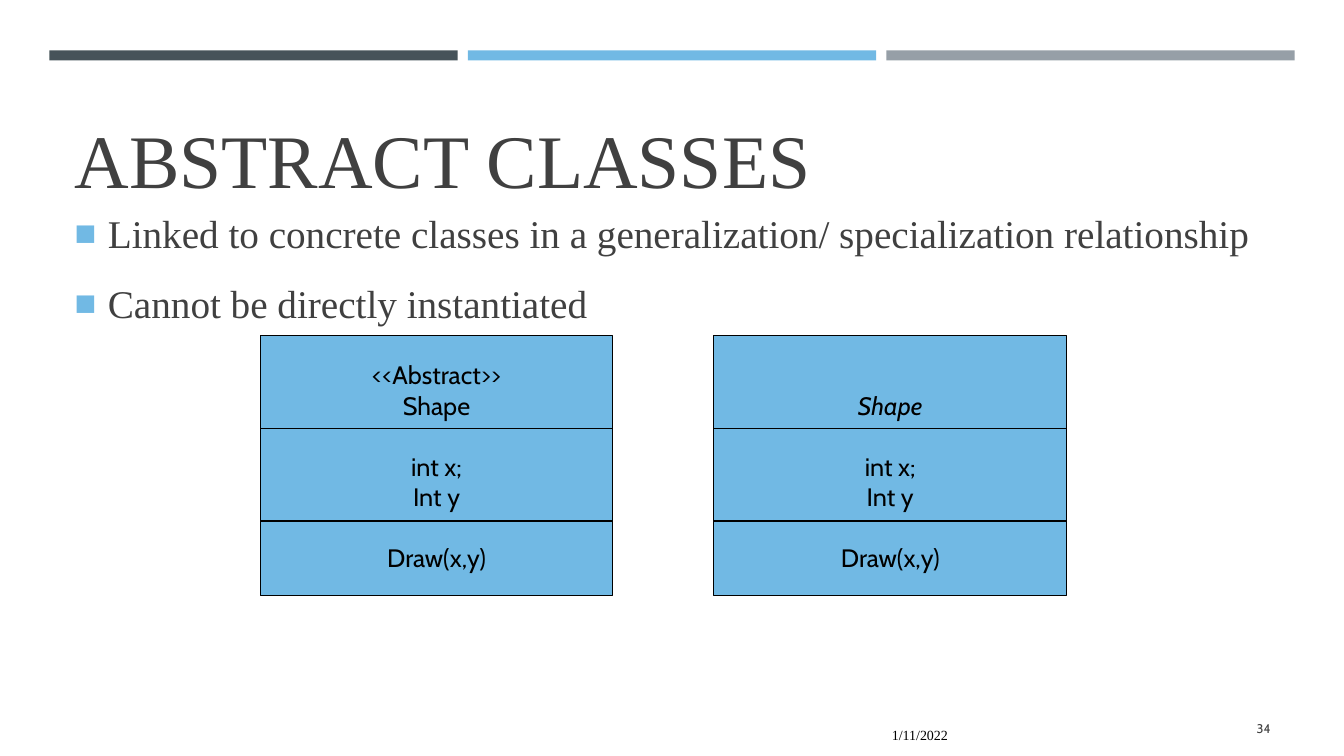
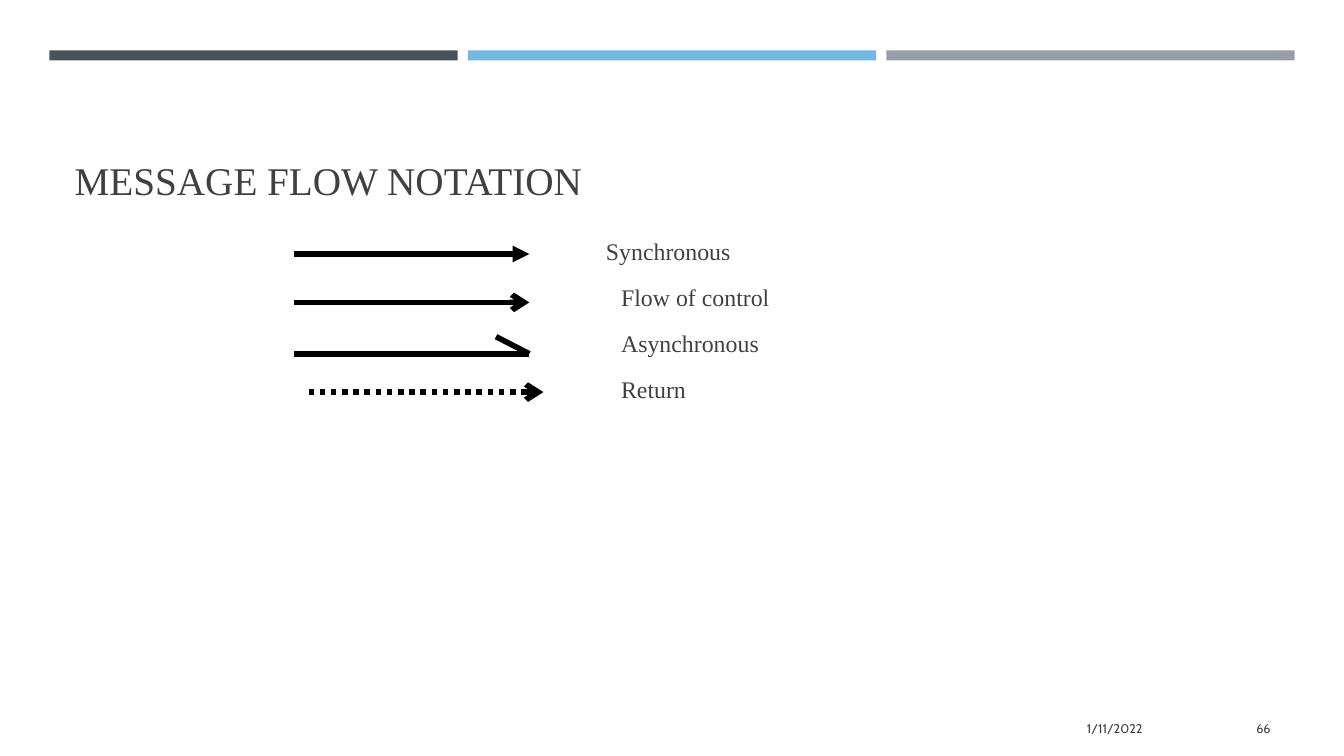
"""Build two slides on class and message notation."""
from lxml import etree
from pptx import Presentation
from pptx.dml.color import RGBColor
from pptx.enum.dml import MSO_LINE
from pptx.enum.shapes import MSO_CONNECTOR, MSO_SHAPE
from pptx.enum.text import MSO_ANCHOR, MSO_AUTO_SIZE, PP_ALIGN
from pptx.oxml.ns import qn
from pptx.util import Inches, Pt

RECT, LINE, DOTS = MSO_SHAPE.RECTANGLE, MSO_CONNECTOR.STRAIGHT, MSO_LINE.ROUND_DOT
LEFT, MID, RIGHT = PP_ALIGN.LEFT, PP_ALIGN.CENTER, PP_ALIGN.RIGHT
CENTRE, BOTTOM, FIXED = MSO_ANCHOR.MIDDLE, MSO_ANCHOR.BOTTOM, MSO_AUTO_SIZE.NONE
SERIF, SANS = "Times New Roman", "Cabin"
BLACK, GREY, BLUE = "000000", "404040", "71B9E4"

BANDS = ["465359", BLUE, "969FA7"]
TITLE = (0.64, 0.77, 12.06, 1.3)
PAGE = (11.55, 7.03, 1.15, 0.4)
SMALL = (9, SANS, GREY)

CLASSES = {
    "title": ("ABSTRACT CLASSES", 54),
    "body": (0.64, 0.65, 12.06, 3.97),
    "size": 28,
    "list": [
        ("Linked to concrete classes in a generalization/ specialization relationship", 0.33),
        ("Cannot be directly instantiated", 0.33),
    ],
    "bullet": True,
    "date": ((2.67, 6.92, 6.83, 0.5), BOTTOM, (10, SERIF, BLACK)),
    "page": "34",
}
FLOWS = {
    "title": ("MESSAGE FLOW NOTATION", 28),
    "body": (4.23, 0.77, 8.97, 4.78),
    "size": 17,
    "list": [("Synchronous", 1.68), ("Flow of control", 1.83),
             ("Asynchronous", 1.83), ("Return", 1.83)],
    "bullet": False,
    "date": ((8.32, 7.03, 3.11, 0.4), CENTRE, SMALL),
    "page": "66",
}
PARTS = [["int x;", "Int y"], ["Draw(x,y)"]]
BOXES = [(["<<Abstract>>", "Shape"], False), (["Shape"], True)]
ARROWS = [(2.92, 2.52, "triangle", None), (2.92, 3, "arrow", None),
          (3.06, 3.89, "arrow", DOTS)]


def paint(form, hue):
    """Set a solid colour on a fill."""
    form.solid()
    form.fore_color.rgb = RGBColor.from_string(hue)


def place(item, box):
    """Move an item to a box given in inches."""
    item.left, item.top, item.width, item.height = map(Inches, box)


def write(para, text, size, face, hue, slant=False):
    """Add one styled run to a paragraph."""
    run = para.add_run()
    run.text = text
    font = run.font
    font.size, font.name, font.italic = Pt(size), face, slant
    paint(font.fill, hue)


def rows(frame, count):
    """Return the wanted number of paragraphs of a frame."""
    return [frame.paragraphs[0]] + [frame.add_paragraph() for _ in range(count - 1)]


def block(shapes, box, hue):
    """Draw a plain filled rectangle."""
    rect = shapes.add_shape(RECT, *map(Inches, box))
    rect.shadow.inherit = False
    paint(rect.fill, hue)
    rect.line.fill.background()
    return rect


def stroke(shapes, start, end, width, tip=None, dash=None):
    """Draw a black line, with a tip at its end if named."""
    line = shapes.add_connector(LINE, *map(Inches, (*start, *end)))
    paint(line.line.fill, BLACK)
    line.line.width = Pt(width)
    if dash:
        line.line.dash_style = dash
    if tip:
        etree.SubElement(line.line._get_or_add_ln(), qn("a:tailEnd"), type=tip)
    etree.SubElement(line._element.spPr, qn("a:effectLst"))


def label(slide, text, box, anchor, style):
    """Add a right-aligned footer text."""
    frame = slide.shapes.add_textbox(*map(Inches, box)).text_frame
    frame.word_wrap, frame.vertical_anchor = True, anchor
    frame.paragraphs[0].alignment = RIGHT
    write(frame.paragraphs[0], text, *style)


def mark(para, left, bullet):
    """Set the indent and the bullet of a paragraph."""
    props = para._p.get_or_add_pPr()
    props.set("marL", str(Inches(left)))
    props.set("indent", str(Inches(-0.33) if bullet else 0))
    if not bullet:
        etree.SubElement(props, qn("a:buNone"))
        return
    tint = etree.SubElement(props, qn("a:buClr"))
    etree.SubElement(tint, qn("a:srgbClr"), val=BLUE)
    etree.SubElement(props, qn("a:buSzPct"), val="92000")
    etree.SubElement(props, qn("a:buChar"), char="■")


def dress(deck, layout):
    """Put the bands and the title box on the layout."""
    draft = deck.slides[0].shapes
    for col, hue in enumerate(BANDS):
        band = block(draft, (0.49 + 4.15 * col, 0.5, 4.05, 0.1), hue)
        band._element.nvSpPr.cNvPr.set("id", str(50 + col))
        layout.shapes._spTree.append(band._element)
    head = layout.placeholders[0]
    place(head, TITLE)
    head.text_frame.vertical_anchor = BOTTOM


def fill(slide, data):
    """Fill the title, list and footers of a slide."""
    head, body = slide.placeholders
    head.text_frame.auto_size = FIXED
    para = head.text_frame.paragraphs[0]
    para.alignment = LEFT
    text, size = data["title"]
    write(para, text, size, SERIF, GREY)
    place(body, data["body"])
    frame, size = body.text_frame, data["size"]
    frame.auto_size, frame.vertical_anchor = FIXED, CENTRE
    paras = rows(frame, len(data["list"]))
    for num, (para, (text, left)) in enumerate(zip(paras, data["list"])):
        mark(para, left, data["bullet"])
        para.line_spacing, para.space_after = 1.1, Pt(6)
        para.space_before = Pt(size / 4 if num else 0)
        write(para, text, size, SERIF, GREY)
    box, anchor, style = data["date"]
    label(slide, "1/11/2022", box, anchor, style)
    label(slide, data["page"], PAGE, CENTRE, SMALL)


def diagram(slide, left, names, slant):
    """Draw a class box with three compartments."""
    top, wide, step = 3.33, 3.5, 0.92
    group = slide.shapes.add_group_shape().shapes
    rect = block(group, (left, top, wide, 2.58), BLUE)
    paint(rect.line.fill, BLACK)
    rect.line.width = Pt(0.75)
    frame = rect.text_frame
    frame.word_wrap, frame.vertical_anchor = True, BOTTOM
    frame.margin_bottom = Inches(0.23)
    lines = [(text, part, num) for part, texts in enumerate([names, *PARTS])
             for num, text in enumerate(texts)]
    for para, (text, part, num) in zip(rows(frame, len(lines)), lines):
        para.alignment = MID
        para.space_before = Pt(22 if part and not num else 0)
        write(para, text, 18, SANS, BLACK, slant and not part)
    for row in (1, 2):
        high = top + step * row
        stroke(group, (left, high), (left + wide, high), 1)


def main():
    """Build and save the deck."""
    deck = Presentation()
    deck.slide_width, deck.slide_height = Inches(13.33), Inches(7.5)
    layout = deck.slide_layouts[1]
    first, second = [deck.slides.add_slide(layout) for _ in range(2)]
    dress(deck, layout)
    fill(first, CLASSES)
    for col, (names, slant) in enumerate(BOXES):
        diagram(first, 2.58 + 4.5 * col, names, slant)
    fill(second, FLOWS)
    for left, top, tip, dash in ARROWS:
        stroke(second.shapes, (left, top), (left + 2.33, top), 4, tip, dash)
    half = second.shapes.add_group_shape().shapes
    for end in ((2.92, 3.51), (4.92, 3.34)):
        stroke(half, (5.25, 3.51), end, 4)
    deck.save("out.pptx")


if __name__ == "__main__":
    main()
